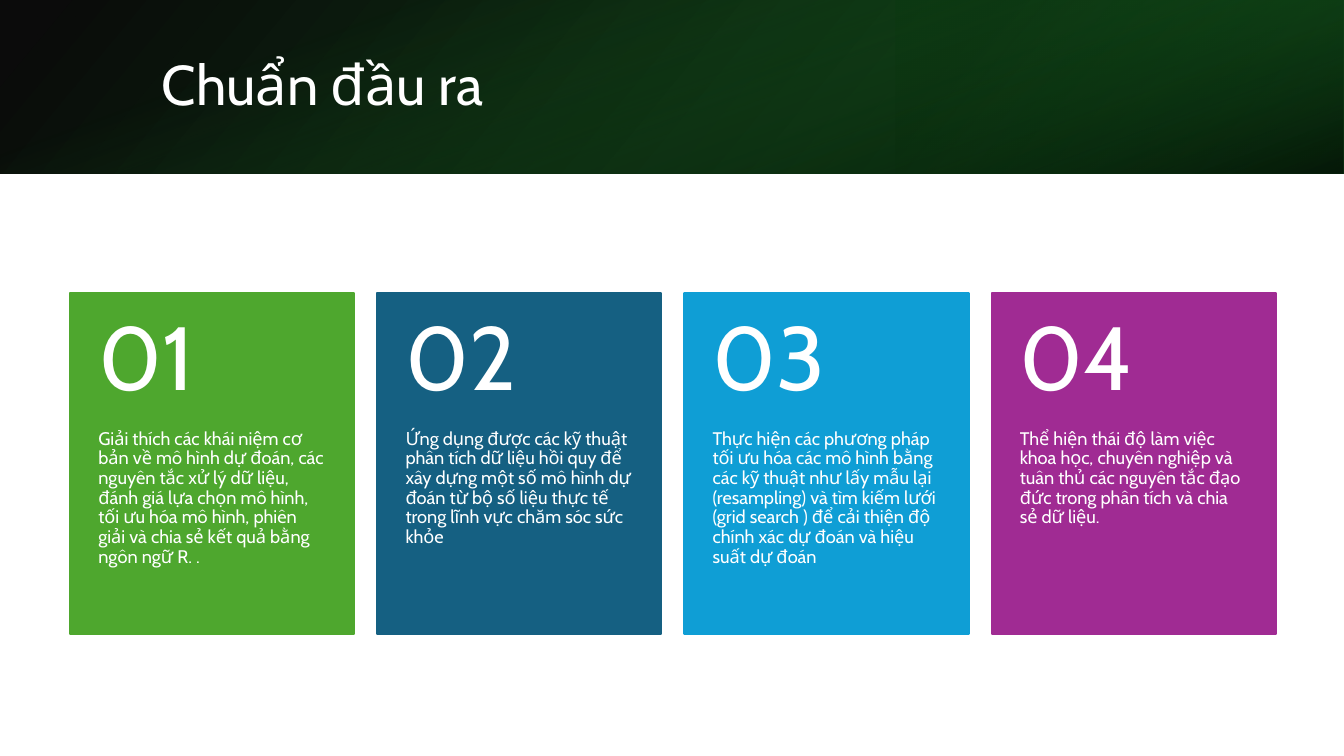
from lxml.etree import SubElement
from pptx import Presentation
from pptx.dml.color import RGBColor
from pptx.enum.shapes import MSO_SHAPE
from pptx.enum.text import MSO_ANCHOR, MSO_AUTO_SIZE, PP_ALIGN
from pptx.oxml.ns import qn
from pptx.util import Cm, Pt

COLOURS = {
    "white": "FFFFFF", "black": "000000", "forest": "13501B",
    "deep": "0D3612", "leaf": "196B24", "green": "4EA72E",
    "navy": "156082", "sky": "0F9ED5", "purple": "A02B93",
}
SLIDE_W, SLIDE_H = 33.87, 19.05
BANNER_H = 4.37
CARD_LEFT, CARD_TOP, CARD_W, CARD_H, CARD_PITCH = 1.77, 7.39, 7.16, 8.59, 7.74
NUMBER_H = 3.43

OUTCOMES = [
    ("green", "Giải thích các khái niệm cơ bản về mô hình dự đoán, các nguyên tắc "
              "xử lý dữ liệu, đánh giá lựa chọn mô hình, tối ưu hóa mô hình, phiên "
              "giải và chia sẻ kết quả bằng ngôn ngữ R. ."),
    ("navy", "Ứng dụng được các kỹ thuật phân tích dữ liệu hồi quy để xây dựng một "
             "số mô hình dự đoán từ bộ số liệu thực tế trong lĩnh vực chăm sóc sức "
             "khỏe"),
    ("sky", "Thực hiện các phương pháp tối ưu hóa các mô hình bằng các kỹ thuật như "
            "lấy mẫu lại (resampling) và tìm kiếm lưới (grid search ) để cải thiện "
            "độ chính xác dự đoán và hiệu suất dự đoán"),
    ("purple", "Thể hiện thái độ làm việc khoa học, chuyên nghiệp và tuân thủ các "
               "nguyên tắc đạo đức trong phân tích và chia sẻ dữ liệu."),
]


class SlideBuilder:
    def __init__(self, slide, font="Cabin"):
        self.slide = slide
        self.font = font

    def rectangle(self, shapes, left, top, width, height):
        rect = shapes.add_shape(MSO_SHAPE.RECTANGLE, Cm(left), Cm(top),
                                Cm(width), Cm(height))
        rect.shadow.inherit = False
        return rect

    def gradient_band(self, left, top, width, height, stops, angle,
                      rotation=0, flipped=False):
        """Add a borderless band; each stop is (position %, colour, opacity %)."""
        band = self.rectangle(self.slide.shapes, left, top, width, height)
        band.line.fill.background()
        band.rotation = rotation
        properties = band._element.spPr
        if flipped:
            properties.find(qn("a:xfrm")).set("flipH", "1")
        gradient = SubElement(properties, qn("a:gradFill"), rotWithShape="1")
        properties.find(qn("a:prstGeom")).addnext(gradient)
        stop_list = SubElement(gradient, qn("a:gsLst"))
        for position, colour, opacity in stops:
            stop = SubElement(stop_list, qn("a:gs"), pos=str(position * 1000))
            shade = SubElement(stop, qn("a:srgbClr"), val=COLOURS[colour])
            SubElement(shade, qn("a:alpha"), val=str(opacity * 1000))
        SubElement(gradient, qn("a:lin"), ang=str(angle * 60000), scaled="0")

    def fill_frame(self, frame, text, size, anchor):
        frame.word_wrap = True
        frame.auto_size = MSO_AUTO_SIZE.NONE
        frame.vertical_anchor = anchor
        paragraph = frame.paragraphs[0]
        paragraph.alignment = PP_ALIGN.LEFT
        paragraph.line_spacing = 0.9
        run = paragraph.add_run()
        run.text = text
        run.font.name = self.font
        run.font.size = Pt(size)
        run.font.color.rgb = RGBColor.from_string(COLOURS["white"])

    def title(self, text, left, top, width, height):
        heading = self.slide.shapes.title
        heading.left, heading.top = Cm(left), Cm(top)
        heading.width, heading.height = Cm(width), Cm(height)
        self.fill_frame(heading.text_frame, text, 40, MSO_ANCHOR.MIDDLE)
        # Bring the title in front of the banner
        self.slide.shapes._spTree.append(heading._element)

    def text(self, shapes, text, left, top, width, height, size, anchor, insets):
        """Add a text box with insets (side, top, bottom)."""
        frame = shapes.add_textbox(Cm(left), Cm(top), Cm(width), Cm(height)).text_frame
        side, above, below = insets
        frame.margin_left = frame.margin_right = Cm(side)
        frame.margin_top, frame.margin_bottom = Cm(above), Cm(below)
        self.fill_frame(frame, text, size, anchor)

    def card(self, shapes, left, number, colour, outcome):
        panel = self.rectangle(shapes, left, CARD_TOP, CARD_W, CARD_H)
        fill = RGBColor.from_string(COLOURS[colour])
        panel.fill.solid()
        panel.fill.fore_color.rgb = fill
        panel.line.color.rgb = fill
        panel.line.width = Pt(1.5)
        self.text(shapes, outcome, left, CARD_TOP + NUMBER_H, CARD_W,
                  CARD_H - NUMBER_H, 13, MSO_ANCHOR.TOP, (0.71, 0, 0.91))
        self.text(shapes, f"{number:02}", left, CARD_TOP, CARD_W, NUMBER_H,
                  64, MSO_ANCHOR.MIDDLE, (0.71, 0.46, 0.46))


def main():
    presentation = Presentation()
    presentation.slide_width, presentation.slide_height = Cm(SLIDE_W), Cm(SLIDE_H)
    slide = presentation.slides.add_slide(presentation.slide_layouts[5])
    builder = SlideBuilder(slide)

    builder.gradient_band(0, 0, SLIDE_W, BANNER_H,
                          [(0, "black", 96), (100, "forest", 100)], 140, flipped=True)
    builder.gradient_band(SLIDE_W * 2 / 3, 0, SLIDE_W / 3, BANNER_H,
                          [(19, "deep", 68), (100, "leaf", 79)], 320,
                          rotation=180, flipped=True)
    # Turned a quarter, this upright band covers the whole banner
    offset = (SLIDE_W - BANNER_H) / 2
    builder.gradient_band(offset, -offset, BANNER_H, SLIDE_W,
                          [(23, "leaf", 0), (99, "black", 74)], 340, rotation=90)
    builder.title("Chuẩn đầu ra", 3.82, 0.97, 27.89, 2.44)

    cards = slide.shapes.add_group_shape().shapes
    for index, (colour, outcome) in enumerate(OUTCOMES):
        builder.card(cards, CARD_LEFT + index * CARD_PITCH, index + 1, colour, outcome)

    presentation.save("out.pptx")


if __name__ == "__main__":
    main()
